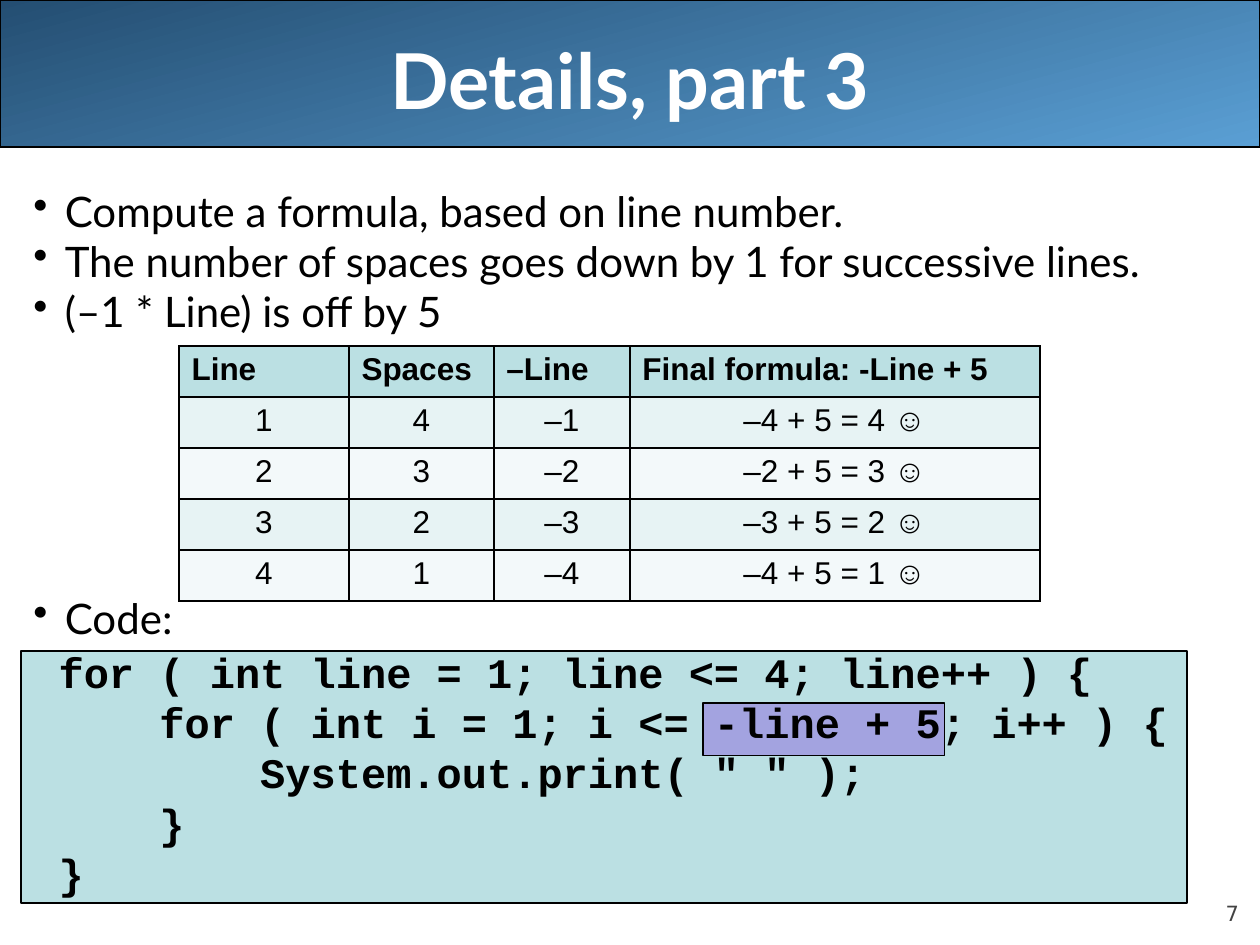
from pptx import Presentation
from pptx.dml.color import RGBColor
from pptx.enum.shapes import MSO_SHAPE
from pptx.enum.text import MSO_ANCHOR, PP_ALIGN
from pptx.oxml import parse_xml
from pptx.oxml.ns import nsdecls
from pptx.util import Pt

PX = 914400 // 126
RECT = MSO_SHAPE.RECTANGLE
TOP, MIDDLE, BOTTOM = MSO_ANCHOR.TOP, MSO_ANCHOR.MIDDLE, MSO_ANCHOR.BOTTOM
LEFT, CENTER, RIGHT = PP_ALIGN.LEFT, PP_ALIGN.CENTER, PP_ALIGN.RIGHT

BLACK = RGBColor(0x00, 0x00, 0x00)
WHITE = RGBColor(0xFF, 0xFF, 0xFF)
GRAY = RGBColor(0x42, 0x42, 0x42)
NAVY = RGBColor(0x24, 0x4E, 0x72)
SKY = RGBColor(0x5A, 0x9F, 0xD4)
TEAL = RGBColor(0xBB, 0xE0, 0xE3)
LILAC = RGBColor(0xA3, 0xA3, 0xE0)
BANDS = RGBColor(0xF3, 0xF9, 0xFA), RGBColor(0xE7, 0xF3, 0xF4)

POINTS = [
    "Compute a formula, based on line number.",
    "The number of spaces goes down by 1 for successive lines.",
    "(–1 * Line) is off by 5",
]
CODE = [
    " for ( int line = 1; line <= 4; line++ ) {",
    "     for ( int i = 1; i <= -line + 5; i++ ) {",
    '         System.out.print( " " );',
    "     }",
    " }",
]
ROWS = [
    ["Line", "Spaces", "–Line", "Final formula: -Line + 5"],
    ["1", "4", "–1", "–4 + 5 = 4 ☺"],
    ["2", "3", "–2", "–2 + 5 = 3 ☺"],
    ["3", "2", "–3", "–3 + 5 = 2 ☺"],
    ["4", "1", "–4", "–4 + 5 = 1 ☺"],
]
WIDTHS = [170, 145, 136, 410]


def scale(*sizes):
    """Turn px lengths into EMU."""
    return [size * PX for size in sizes]


def add_run(para, text, size, font, color=BLACK, bold=False):
    """Add one styled run to a paragraph."""
    run = para.add_run()
    run.text = text
    run.font.size = Pt(size)
    run.font.name = font
    run.font.bold = bold
    run.font.color.rgb = color


def add_panel(slide, box, color=None):
    """Add an outlined rectangle, flat or with the header gradient."""
    shape = slide.shapes.add_shape(RECT, *scale(*box))
    shape.shadow.inherit = False
    shape.line.color.rgb = BLACK
    shape.line.width = Pt(0.75)
    if color is not None:
        shape.fill.solid()
        shape.fill.fore_color.rgb = color
        return
    shape.fill.gradient()
    shape.fill.gradient_angle = 285
    for stop, tone in zip(shape.fill.gradient_stops, (NAVY, SKY)):
        stop.color.rgb = tone


def add_text(slide, box, lines, size, font, color=BLACK, bold=False,
             align=LEFT, anchor=TOP, bullet=False, pitch=None, inset=True):
    """Add a text box with one paragraph per line."""
    frame = slide.shapes.add_textbox(*scale(*box)).text_frame
    frame.word_wrap = True
    frame.vertical_anchor = anchor
    if not inset:
        frame.margin_left = frame.margin_right = 0
        frame.margin_top = frame.margin_bottom = 0
    for i, line in enumerate(lines):
        para = frame.add_paragraph() if i else frame.paragraphs[0]
        para.alignment = align
        if pitch:
            para.line_spacing = Pt(pitch)
        if bullet:
            props = para._p.get_or_add_pPr()
            props.set("marL", "228600")
            props.set("indent", "-228600")
            props.append(parse_xml(f'<a:buChar {nsdecls("a")} char="•"/>'))
        add_run(para, line, size, font, color, bold)


def add_edges(cell):
    """Draw a black line on all four sides of a cell."""
    props = cell._tc.get_or_add_tcPr()
    for side in "LRTB":
        props.append(parse_xml(
            f'<a:ln{side} {nsdecls("a")} w="12700"><a:solidFill>'
            f'<a:srgbClr val="{BLACK}"/></a:solidFill></a:ln{side}>'))


def add_grid(slide, left, top, height):
    """Add the table of line formulas."""
    box = scale(left, top, sum(WIDTHS), height * len(ROWS))
    table = slide.shapes.add_table(len(ROWS), len(WIDTHS), *box).table
    for col, width in zip(table.columns, WIDTHS):
        col.width = width * PX
    for r, row in enumerate(ROWS):
        table.rows[r].height = height * PX
        for c, text in enumerate(row):
            cell = table.cell(r, c)
            add_edges(cell)
            cell.fill.solid()
            cell.fill.fore_color.rgb = BANDS[r % 2] if r else TEAL
            para = cell.text_frame.paragraphs[0]
            para.alignment = CENTER if r else LEFT
            add_run(para, text, 18, "Arial", bold=r == 0)


def main():
    """Build and save the slide."""
    deck = Presentation()
    deck.slide_width, deck.slide_height = scale(1260, 945)
    slide = deck.slides.add_slide(deck.slide_layouts[6])
    add_panel(slide, (0, 0, 1260, 147))
    add_text(slide, (1134, 876, 105, 50), ["7"], 12, "DejaVu Sans", GRAY,
             align=RIGHT, anchor=BOTTOM, inset=False)
    add_panel(slide, (21, 651, 1166, 252), TEAL)
    add_panel(slide, (703, 703, 242, 53), LILAC)
    add_text(slide, (63, 0, 1134, 158), ["Details, part 3"], 44, "Lato",
             WHITE, bold=True, align=CENTER, anchor=MIDDLE)
    add_text(slide, (21, 179, 1239, 164), POINTS, 24, "Lato", bullet=True)
    add_text(slide, (21, 586, 1239, 63), ["Code:"], 24, "Lato", bullet=True)
    add_text(slide, (21, 640, 1239, 265), CODE, 24, "Courier New",
             bold=True, pitch=28.8)
    add_grid(slide, 179, 346, 51)
    deck.save("out.pptx")


if __name__ == "__main__":
    main()
